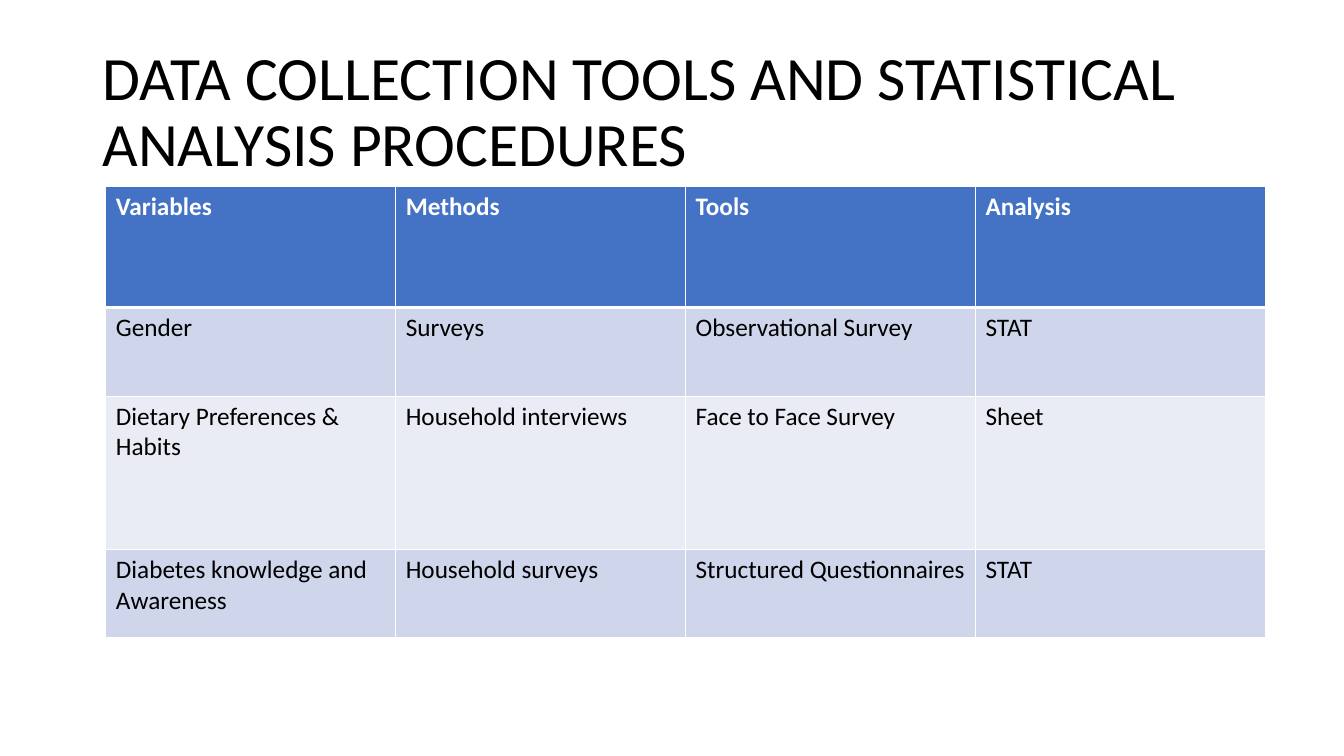
from lxml.etree import SubElement
from pptx import Presentation
from pptx.dml.color import RGBColor
from pptx.enum.text import MSO_ANCHOR
from pptx.oxml.ns import qn
from pptx.util import Inches, Pt

TITLE = "DATA COLLECTION TOOLS AND STATISTICAL ANALYSIS PROCEDURES"
ROWS = [
    ("Variables", "Methods", "Tools", "Analysis"),
    ("Gender", "Surveys", "Observational Survey", "STAT"),
    ("Dietary Preferences & Habits", "Household interviews", "Face to Face Survey", "Sheet"),
    ("Diabetes knowledge and Awareness", "Household surveys", "Structured Questionnaires", "STAT"),
]
ROW_HEIGHTS = (1.2, 0.88, 1.52, 0.88)
WIDTH, HEIGHT = 13.33, 7.5
TITLE_LEFT, TITLE_TOP, TITLE_HEIGHT = 0.92, 0.4, 1.45
TABLE_LEFT, TABLE_TOP, CONTENT_WIDTH = 1.05, 1.85, 11.5

FONT = "Calibri"
BLACK = RGBColor(0x00, 0x00, 0x00)
WHITE = RGBColor(0xFF, 0xFF, 0xFF)
HEADER_BLUE = RGBColor(0x44, 0x72, 0xC4)
BANDS = (RGBColor(0xE9, 0xEB, 0xF5), RGBColor(0xCF, 0xD5, 0xEA))


def write(frame, text, size=18, color=BLACK, bold=False, spacing=1.0):
    para = frame.paragraphs[0]
    para.line_spacing = spacing
    span = para.add_run()
    span.text = text
    span.font.name = FONT
    span.font.size = Pt(size)
    span.font.bold = bold
    span.font.color.rgb = color


def draw_borders(cell, top, bottom):
    properties = cell._tc.get_or_add_tcPr()
    for side, points in (("L", 1), ("R", 1), ("T", top), ("B", bottom)):
        line = SubElement(properties, qn(f"a:ln{side}"), w=str(Pt(points)))
        fill = SubElement(line, qn("a:solidFill"))
        SubElement(fill, qn("a:srgbClr"), val=str(WHITE))


def add_title(page):
    box = page.shapes.add_textbox(
        Inches(TITLE_LEFT), Inches(TITLE_TOP), Inches(CONTENT_WIDTH), Inches(TITLE_HEIGHT))
    frame = box.text_frame
    frame.word_wrap = True
    frame.vertical_anchor = MSO_ANCHOR.MIDDLE
    write(frame, TITLE, size=44, spacing=0.9)


def add_variables_table(page):
    columns = len(ROWS[0])
    table = page.shapes.add_table(
        len(ROWS), columns, Inches(TABLE_LEFT), Inches(TABLE_TOP),
        Inches(CONTENT_WIDTH), Inches(sum(ROW_HEIGHTS))).table
    for column in table.columns:
        column.width = Inches(CONTENT_WIDTH / columns)
    for index, (texts, height) in enumerate(zip(ROWS, ROW_HEIGHTS)):
        table.rows[index].height = Inches(height)
        header = index == 0
        for cell, text in zip(table.rows[index].cells, texts):
            draw_borders(cell, top=3 if index == 1 else 1, bottom=3 if header else 1)
            cell.fill.solid()
            cell.fill.fore_color.rgb = HEADER_BLUE if header else BANDS[index % 2]
            write(cell.text_frame, text, color=WHITE if header else BLACK, bold=header)


def main():
    deck = Presentation()
    deck.slide_width, deck.slide_height = Inches(WIDTH), Inches(HEIGHT)
    page = deck.slides.add_slide(deck.slide_layouts[6])
    add_title(page)
    add_variables_table(page)
    deck.save("out.pptx")


if __name__ == "__main__":
    main()
